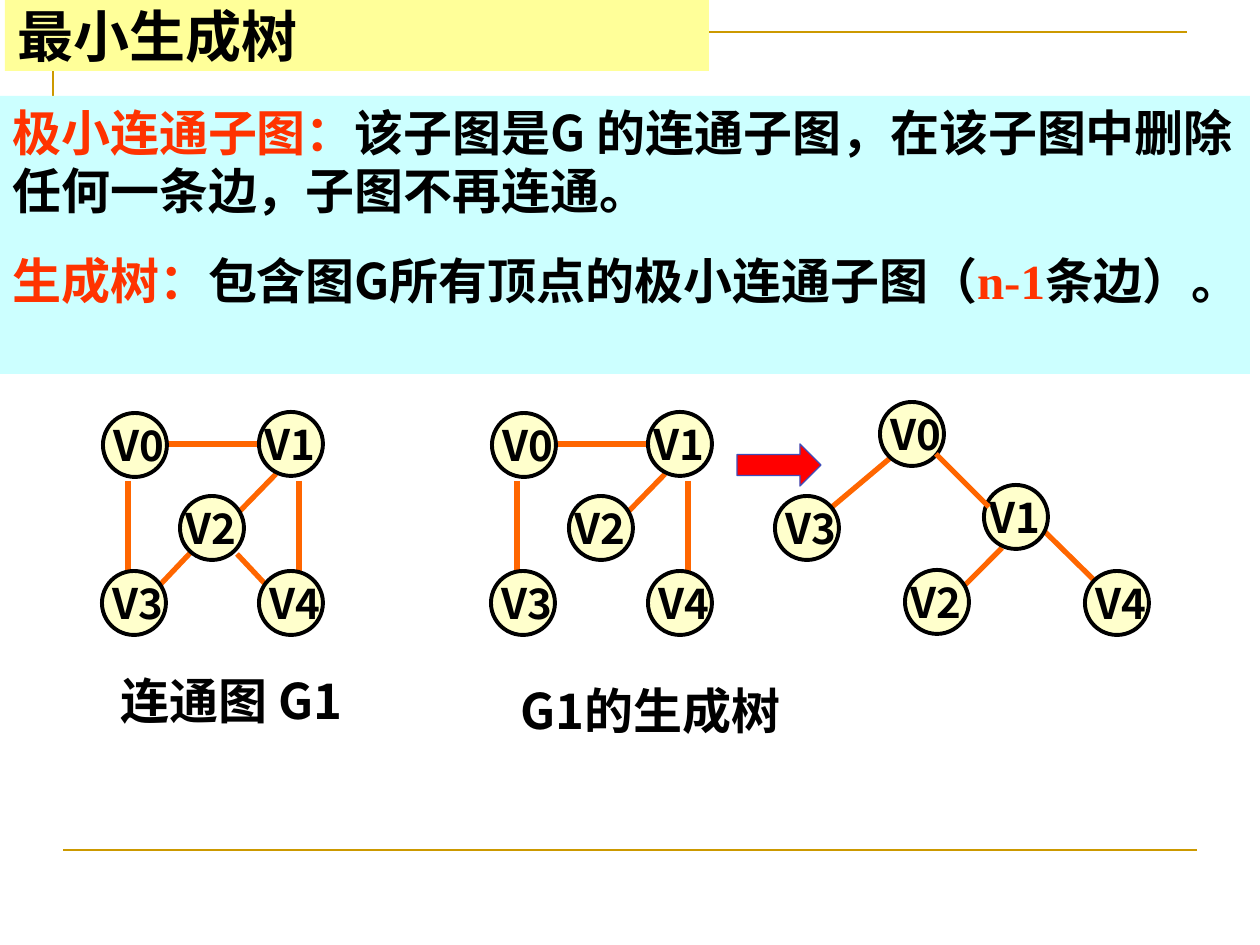
import pptx
import pptx.dml.color
import pptx.enum.shapes
import pptx.enum.text
import pptx.oxml.ns
import pptx.util
import lxml.etree

RGBColor = pptx.dml.color.RGBColor
Shape = pptx.enum.shapes.MSO_SHAPE
Align = pptx.enum.text.PP_ALIGN
Anchor = pptx.enum.text.MSO_ANCHOR

BLACK = RGBColor(0x00, 0x00, 0x00)
GOLD = RGBColor(0xCC, 0x99, 0x00)
CYAN = RGBColor(0xCC, 0xFF, 0xFF)
YELLOW = RGBColor(0xFF, 0xFF, 0x99)
CREAM = RGBColor(0xFF, 0xFF, 0xCC)
ORANGE = RGBColor(0xFF, 0x66, 0x00)
VERMILION = RGBColor(0xFF, 0x33, 0x00)
RED = RGBColor(0xFF, 0x00, 0x00)
BLUE = RGBColor(0x3E, 0x4D, 0xBA)

NOTO = "Noto Sans CJK SC"
DEJAVU = "DejaVu Sans"
TIMES = "Times New Roman"

NODE_SIZE = 64
LABEL_SHIFT = {"V0": -6, "V1": -11, "V2": -11, "V3": -6, "V4": -6}
SQUARE_NODES = {"V0": (1, 1), "V4": (157, 159), "V3": (0, 159),
                "V1": (157, 0), "V2": (78, 84)}
SPANNING_EDGES = [(26, 69, 26, 160), (63, 32, 166, 32),
                  (197, 69, 197, 160), (174, 62, 137, 100)]
CYCLE_EDGES = [(92, 137, 56, 175), (135, 142, 166, 175)]
TREE_NODES = {"V0": (105, 0), "V4": (310, 169), "V3": (0, 94),
              "V1": (209, 83), "V2": (130, 168)}
TREE_EDGES = [(120, 52, 57, 105), (266, 126, 319, 178), (227, 146, 189, 184)]
TREE_FRONT_EDGES = [(161, 52, 214, 105)]


def px(value):
    """Turn pixels into EMU at 126 pixels to the inch."""
    return pptx.util.Emu(round(value * 914400 / 126))


def add_run(paragraph, text, size, color=BLACK, font=NOTO):
    """Add one bold run with its Latin and East Asian fonts."""
    run = paragraph.add_run()
    run.text = text
    run.font.size = pptx.util.Pt(size)
    run.font.bold = True
    run.font.color.rgb = color
    run.font.name = font
    properties = run.font._element
    east_asian = lxml.etree.SubElement(properties, pptx.oxml.ns.qn("a:ea"))
    east_asian.set("typeface", NOTO)


def add_line(slide, start_x, start_y, end_x, end_y, color, width):
    """Add a straight line without a shadow."""
    line = slide.shapes.add_connector(
        pptx.enum.shapes.MSO_CONNECTOR.STRAIGHT,
        px(start_x), px(start_y), px(end_x), px(end_y))
    line.line.color.rgb = color
    line.line.width = pptx.util.Pt(width)
    lxml.etree.SubElement(line._element.spPr, pptx.oxml.ns.qn("a:effectLst"))


def add_filled(slide, kind, left, top, width, height, fill, line=None, line_width=1):
    """Add a filled preset shape with an optional outline."""
    shape = slide.shapes.add_shape(kind, px(left), px(top), px(width), px(height))
    shape.shadow.inherit = False
    shape.fill.solid()
    shape.fill.fore_color.rgb = fill
    if line is None:
        shape.line.fill.background()
    else:
        shape.line.color.rgb = line
        shape.line.width = pptx.util.Pt(line_width)
    return shape


def add_text(slide, left, top, width, height, text, size, align, inset=13):
    """Add a text box holding one run."""
    box = slide.shapes.add_textbox(px(left), px(top), px(width), px(height))
    box.text_frame.word_wrap = True
    box.text_frame.margin_left = px(inset)
    paragraph = box.text_frame.paragraphs[0]
    paragraph.alignment = align
    add_run(paragraph, text, size)


def add_frame(slide, left, top, width, height):
    """Draw the gold corner at the top and the gold rule at the bottom."""
    builder = slide.shapes.build_freeform(px(left - 10), px(top + 84), scale=1.0)
    builder.add_line_segments(
        [(px(left - 10), px(top)), (px(left + width - 10), px(top))], close=False)
    corner = builder.convert_to_shape()
    corner.shadow.inherit = False
    corner.fill.background()
    corner.line.color.rgb = GOLD
    corner.line.width = pptx.util.Pt(1.5)
    add_line(slide, left, top + height, left + width, top + height, GOLD, 1.5)


def add_title(slide, left, top, width, height):
    """Add the title band."""
    band = add_filled(slide, Shape.RECTANGLE, left, top, width, height, YELLOW)
    band.text_frame.word_wrap = True
    band.text_frame.vertical_anchor = Anchor.MIDDLE
    paragraph = band.text_frame.paragraphs[0]
    paragraph.alignment = Align.LEFT
    add_run(paragraph, "最小生成树", 32)


def add_definitions(slide, left, top, width, height):
    """Add the panel with the two definitions."""
    panel = add_filled(slide, Shape.RECTANGLE, left, top, width, height, CYAN)
    frame = panel.text_frame
    frame.word_wrap = True
    frame.vertical_anchor = Anchor.TOP
    subgraph = frame.paragraphs[0]
    subgraph.alignment = Align.LEFT
    add_run(subgraph, "极小连通子图", 28, VERMILION, DEJAVU)
    add_run(subgraph, "：", 28, VERMILION)
    add_run(subgraph, "该子图是G 的连通子图，在该子图中删除任何一条边，子图不再连通。", 28)
    tree = frame.add_paragraph()
    tree.alignment = Align.LEFT
    tree.space_before = pptx.util.Pt(17.5)
    add_run(tree, "生成树：", 28, VERMILION, DEJAVU)
    add_run(tree, "包含图G所有顶点的极小连通子图（", 28)
    add_run(tree, "n-1", 28, VERMILION, TIMES)
    add_run(tree, "条边）", 28, BLACK, TIMES)
    add_run(tree, "。", 28)


def add_edges(slide, left, top, edges):
    """Add the edges of a graph relative to its corner."""
    for start_x, start_y, end_x, end_y in edges:
        add_line(slide, left + start_x, top + start_y,
                 left + end_x, top + end_y, ORANGE, 3)


def add_graph(slide, left, top, nodes, edges, front_edges=()):
    """Add a graph of labelled nodes over its edges."""
    add_edges(slide, left, top, edges)
    for name, (x, y) in nodes.items():
        add_filled(slide, Shape.OVAL, left + x, top + y,
                   NODE_SIZE, NODE_SIZE, CREAM, BLACK, 2.25)
        add_text(slide, left + x + LABEL_SHIFT[name], top + y, 89, 63,
                 name, 24, Align.LEFT, inset=17)
    add_edges(slide, left, top, front_edges)


def add_caption(slide, left, top, text):
    """Add a centred caption below a graph."""
    add_text(slide, left, top, 310, 72, text, 28, Align.CENTER)


def main():
    """Build and save the slide."""
    presentation = pptx.Presentation()
    presentation.slide_width = px(1260)
    presentation.slide_height = px(945)
    slide = presentation.slides.add_slide(presentation.slide_layouts[6])
    add_frame(slide, 63, 32, 1134, 818)
    add_definitions(slide, 0, 96, 1250, 278)
    add_caption(slide, 495, 674, "G1的生成树")
    add_caption(slide, 76, 664, "连通图 G1")
    add_graph(slide, 491, 412, SQUARE_NODES, SPANNING_EDGES)
    add_graph(slide, 102, 412, SQUARE_NODES, SPANNING_EDGES + CYCLE_EDGES)
    add_graph(slide, 775, 402, TREE_NODES, TREE_EDGES, TREE_FRONT_EDGES)
    add_filled(slide, Shape.RIGHT_ARROW, 737, 444, 84, 42, RED, BLUE, 0.75)
    add_title(slide, 5, 0, 704, 71)
    presentation.save("out.pptx")


if __name__ == "__main__":
    main()
